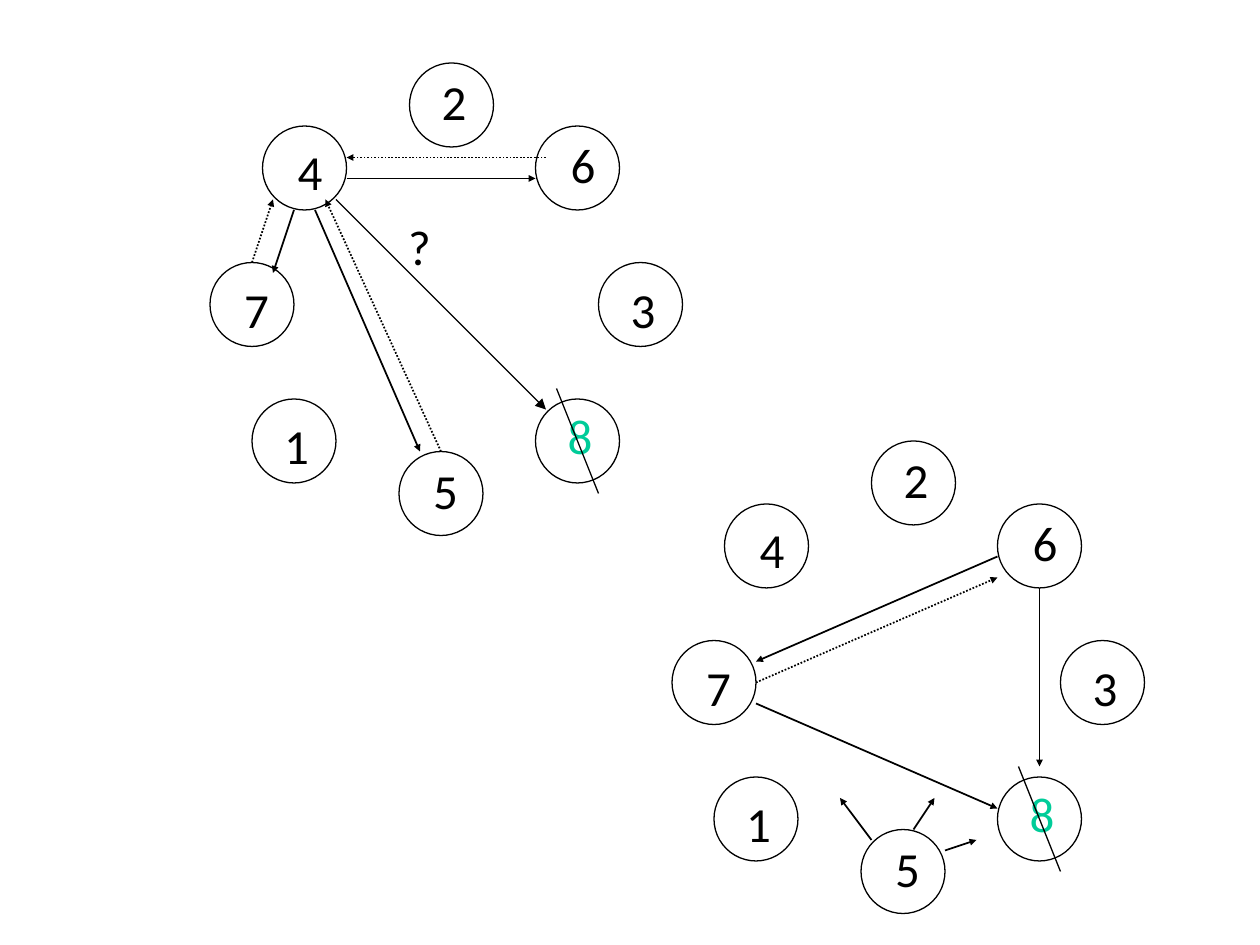
"""Draw two rings of numbered nodes that ask each other about a failed node."""
import pptx
import pptx.dml.color
import pptx.enum.dml
import pptx.enum.shapes
import pptx.enum.text
import pptx.oxml.ns
import pptx.util
from lxml import etree

THEME = {
    "font": "Calibri", "size": 28, "ink": "000000", "dead": "00CC99",
    "thin": 0.75, "bold": 1,
}
UNIT = 2.54 / 12
NODE = 8
BOX = (1.04, 1.45)

# name, grid place of the circle, offset of its label in cm
NODES = [
    ("2", (39, 6), (0.4, 0.05)),
    ("4", (25, 12), (0.46, 0.18)),
    ("6", (51, 12), (0.46, 0.05)),
    ("8", (51, 38), (0.4, 0)),
    ("7", (20, 25), (0.44, 0.22)),
    ("1", (24, 38), (0.4, 0.2)),
    ("5", (38, 43), (0.44, 0.05)),
    ("3", (57, 25), (0.4, 0.22)),
]
FAILED = "8"
CROSS = ((53, 37), (57, 47))
QUERY = ((32, 19), (52, 39))
DOUBT = ("?", (37.7, 20))

RINGS = [
    {
        "shift": (0, 0),
        "query": True,
        "calls": [((28, 20), (26, 26)), ((33, 17), (51, 17)),
                  ((30, 20), (40, 43))],
        "replies": [((24, 25), (26, 19)), ((52, 15), (33, 15)),
                    ((42, 43), (31, 19))],
    },
    {
        "shift": (44, 36),
        "query": False,
        "calls": [((72, 67), (95, 77)), ((95, 53), (72, 63)),
                  ((99, 56), (99, 73)), ((83, 80), (80, 76)),
                  ((87, 79), (89, 76)), ((90, 81), (93, 80))],
        "replies": [((72, 65), (95, 55))],
    },
]


def grid(*cells):
    return [pptx.util.Cm(cell * UNIT) for cell in cells]


def move(spot, shift):
    return spot[0] + shift[0], spot[1] + shift[1]


def tint(name):
    return pptx.dml.color.RGBColor.from_string(THEME[name])


def write(home, text, left, top, width=BOX[0], color="ink"):
    box = home.add_textbox(left, top, pptx.util.Cm(width), pptx.util.Cm(BOX[1]))
    frame = box.text_frame
    frame.word_wrap = False
    frame.auto_size = pptx.enum.text.MSO_AUTO_SIZE.SHAPE_TO_FIT_TEXT
    run = frame.paragraphs[0].add_run()
    run.text = text
    run.font.name = THEME["font"]
    run.font.size = pptx.util.Pt(THEME["size"])
    run.font.color.rgb = tint(color)


def draw(home, start, end, width="bold", head=None, dots=False):
    kind = pptx.enum.shapes.MSO_CONNECTOR.STRAIGHT
    link = home.add_connector(kind, *grid(*start, *end))
    link.line.color.rgb = tint("ink")
    link.line.width = pptx.util.Pt(THEME[width])
    if dots:
        link.line.dash_style = pptx.enum.dml.MSO_LINE.ROUND_DOT
    qn = pptx.oxml.ns.qn
    if head:
        etree.SubElement(link.line._get_or_add_ln(), qn("a:tailEnd"),
                         type="triangle", w=head, len=head)
    etree.SubElement(link._element.spPr, qn("a:effectLst"))


def circle(home, spot):
    kind = pptx.enum.shapes.MSO_SHAPE.OVAL
    node = home.add_shape(kind, *grid(*spot, NODE, NODE))
    node.shadow.inherit = False
    node.fill.background()
    node.line.color.rgb = tint("ink")
    node.line.width = pptx.util.Pt(THEME["thin"])


def ring(shapes, shift, query, calls, replies):
    group = shapes.add_group_shape().shapes
    for name, cell, (right, down) in NODES:
        spot = move(cell, shift)
        circle(group, spot)
        left, top = grid(*spot)
        write(group, name, left + pptx.util.Cm(right), top + pptx.util.Cm(down),
              color="dead" if name == FAILED else "ink")
    draw(group, *[move(end, shift) for end in CROSS], width="thin")
    if query:
        draw(group, *QUERY, width="thin", head="med")
        text, spot = DOUBT
        write(group, text, *grid(*spot), width=0.97)
    for ends in calls:
        draw(shapes, *ends, head="sm")
    for ends in replies:
        draw(shapes, *ends, head="sm", dots=True)


def main():
    deck = pptx.Presentation()
    deck.slide_width = pptx.util.Cm(25.4)
    deck.slide_height = pptx.util.Cm(19.05)
    slide = deck.slides.add_slide(deck.slide_layouts[6])
    for data in RINGS:
        ring(slide.shapes, **data)
    deck.save("out.pptx")


if __name__ == "__main__":
    main()
